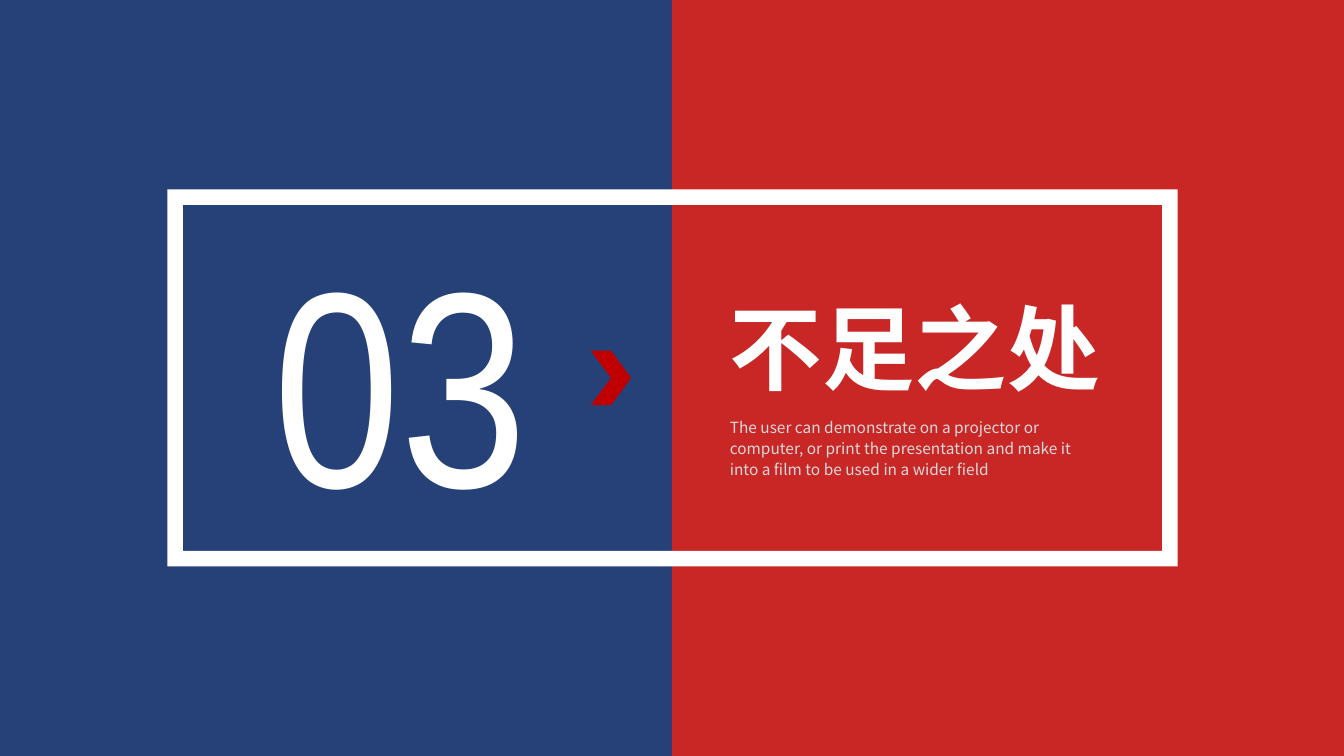
from lxml import etree
from pptx import Presentation
from pptx.dml.color import RGBColor
from pptx.enum.shapes import MSO_SHAPE
from pptx.enum.text import MSO_ANCHOR, MSO_AUTO_SIZE, PP_ALIGN
from pptx.oxml.ns import qn
from pptx.util import Inches, Pt

COLORS = {"navy": "002060", "red": "C00000", "white": "FFFFFF", "pale": "D9D9D9"}
CJK_FONT = "Noto Sans CJK SC"


def add_block(slide, preset, box, color, opacity=100):
    block = slide.shapes.add_shape(preset, *map(Inches, box))
    block.shadow.inherit = False
    block.line.fill.background()
    block.fill.solid()
    block.fill.fore_color.rgb = RGBColor.from_string(COLORS[color])
    if opacity < 100:
        tint = block.fill._xPr.find(".//" + qn("a:srgbClr"))
        etree.SubElement(tint, qn("a:alpha"), val=str(opacity * 1000))
    return block


def write(holder, text, size, font=CJK_FONT, color="white", bold=False,
          align=PP_ALIGN.LEFT, anchor=MSO_ANCHOR.TOP, wrap=False, spacing=1.0):
    frame = holder.text_frame
    frame.word_wrap = wrap
    frame.auto_size = MSO_AUTO_SIZE.NONE
    frame.vertical_anchor = anchor
    paragraph = frame.paragraphs[0]
    paragraph.alignment = align
    paragraph.line_spacing = spacing
    run = paragraph.add_run()
    run.text = text
    run.font.size = Pt(size)
    run.font.bold = bold
    run.font.name = font
    run.font.color.rgb = RGBColor.from_string(COLORS[color])
    etree.SubElement(run.font._element, qn("a:ea"), typeface=font)


def add_text(slide, box, text, **style):
    write(slide.shapes.add_textbox(*map(Inches, box)), text, **style)


def add_title(slide, box, text, **style):
    title = slide.shapes.title
    title.left, title.top, title.width, title.height = map(Inches, box)
    write(title, text, **style)
    slide.shapes._spTree.append(title._element)


def main():
    deck = Presentation()
    deck.slide_width, deck.slide_height = Inches(13.33), Inches(7.5)
    slide = deck.slides.add_slide(deck.slide_layouts[5])

    half = 13.33 / 2
    for column, color in enumerate(("navy", "red")):
        add_block(slide, MSO_SHAPE.RECTANGLE, (column * half, 0, half, 7.5), color, opacity=85)
    border = add_block(slide, MSO_SHAPE.FRAME, (1.66, 1.88, 10.02, 3.74), "white")
    border.adjustments[0] = 0.041

    add_text(slide, (2.38, 2.02, 3.18, 3.45), "03", size=199, font="Arial Narrow",
             align=PP_ALIGN.CENTER)
    add_title(slide, (7.14, 2.83, 3.9, 1.21), "不足之处", size=66, bold=True,
              anchor=MSO_ANCHOR.MIDDLE)
    add_block(slide, MSO_SHAPE.CHEVRON, (5.86, 3.48, 0.4, 0.54), "red")
    add_text(slide, (7.14, 4.07, 3.9, 0.72),
             "The user can demonstrate on a projector or computer, or print the presentation "
             "and make it into a film to be used in a wider field",
             size=11, color="pale", wrap=True, spacing=1.14)

    deck.save("out.pptx")


main()
